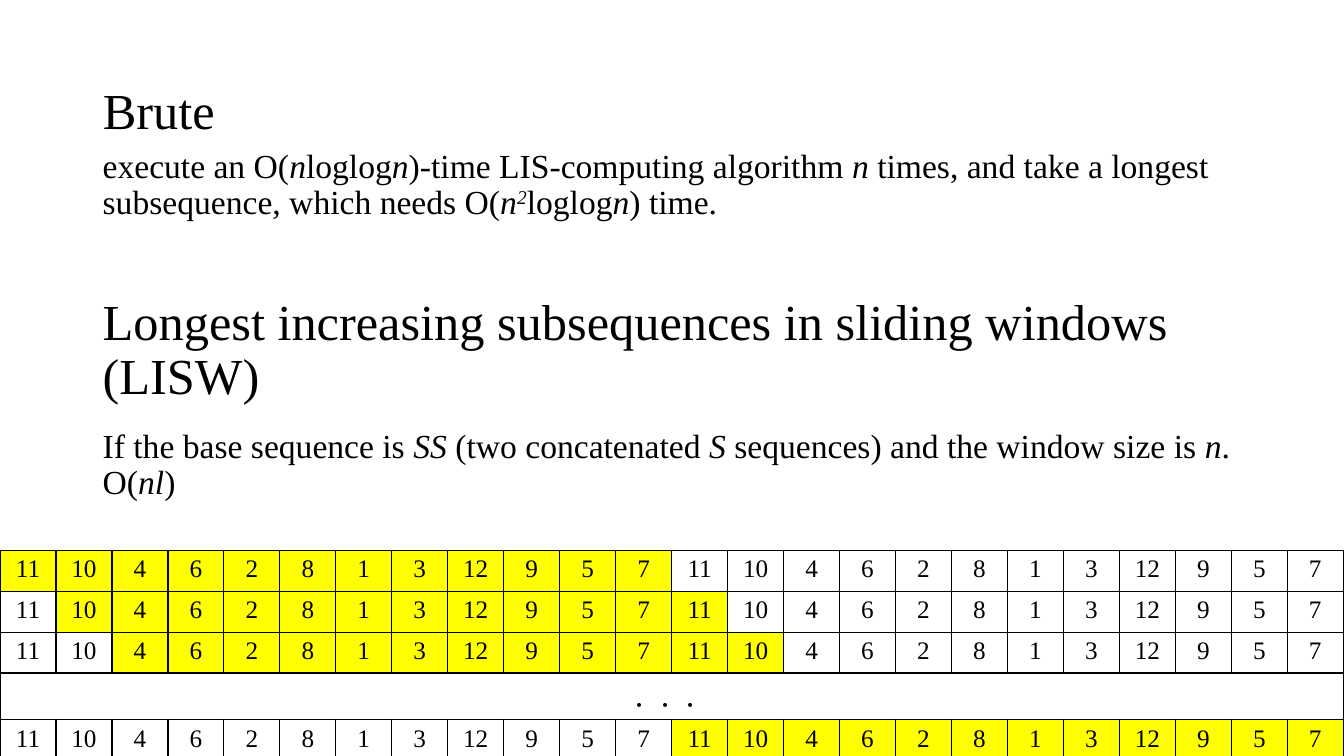
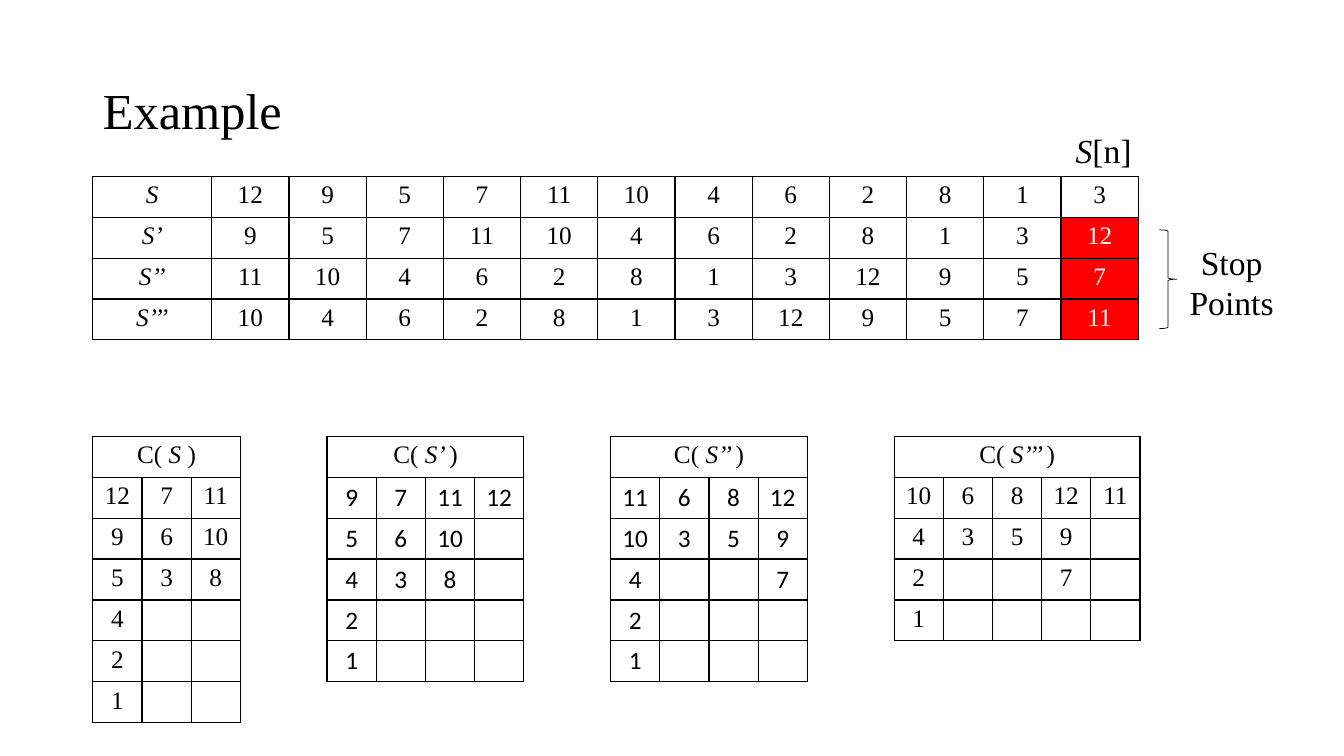
from dataclasses import dataclass
from itertools import zip_longest

from lxml import etree
from pptx import Presentation
from pptx.dml.color import RGBColor
from pptx.enum.shapes import MSO_SHAPE
from pptx.enum.text import MSO_ANCHOR, MSO_AUTO_SIZE, PP_ALIGN
from pptx.oxml.ns import qn
from pptx.util import Inches, Pt

LEFT, CENTER = PP_ALIGN.LEFT, PP_ALIGN.CENTER
TOP, MIDDLE = MSO_ANCHOR.TOP, MSO_ANCHOR.MIDDLE
RIGHT_BRACE = MSO_SHAPE.RIGHT_BRACE

BLACK, WHITE, YELLOW, RED = "000000", "FFFFFF", "FFFF00", "FF0000"
SERIF, SANS = "Times New Roman", "Calibri"
TITLE_PT, BODY_PT, CELL_PT = 36, 24, 18

SLIDE_W, SLIDE_H = 13.33, 7.5
MARGIN, CONTENT_W = 0.92, 11.5
ROW_H = 2.84 / 7
COVER_COL_W = 2.44 / 5
COVER_GAP = 0.86

SEQUENCE = [11, 10, 4, 6, 2, 8, 1, 3, 12, 9, 5, 7]
N = len(SEQUENCE)


@dataclass
class Box:
    left: float
    top: float
    width: float
    height: float

    def emu(self) -> list[int]:
        return [Inches(v) for v in (self.left, self.top, self.width, self.height)]


@dataclass
class Cell:
    text: str = ""
    fill: str = WHITE
    color: str = BLACK
    font: str = SERIF
    span: int = 1


@dataclass
class Cover:
    name: str
    columns: list[list[int]]
    font: str = SERIF


COVERS = [
    Cover("S ", [[12, 9, 5, 4, 2, 1], [7, 6, 3], [11, 10, 8]]),
    Cover("S’ ", [[9, 5, 4, 2, 1], [7, 6, 3], [11, 10, 8], [12]], SANS),
    Cover("S’’ ", [[11, 10, 4, 2, 1], [6, 3], [8, 5], [12, 9, 7]], SANS),
    Cover("S’’’ ", [[10, 4, 2, 1], [6, 3], [8, 5], [12, 9, 7], [11]]),
]


def rgb(color: str) -> RGBColor:
    return RGBColor.from_string(color)


def write(p, text: str, size: int, color: str = BLACK, font: str = SERIF,
          align=LEFT, spacing: float = 1.0) -> None:
    """Fill a paragraph; *...* marks italics and ^...^ a superscript."""
    p.alignment = align
    p.line_spacing = spacing
    p.space_before = Pt(0)
    p.font.size = Pt(size)
    p.font.name = font
    p.font.color.rgb = rgb(color)
    for i, part in enumerate(text.split("*")):
        for j, piece in enumerate(part.split("^")):
            if not piece:
                continue
            r = p.add_run()
            r.text = piece
            if i % 2:
                r.font.italic = True
            if j % 2:
                r._r.get_or_add_rPr().set("baseline", "30000")


def write_frame(tf, lines: list[str], size: int, anchor=TOP, align=LEFT,
                spacing: float = 0.9) -> None:
    tf.word_wrap = True
    tf.auto_size = MSO_AUTO_SIZE.NONE
    tf.vertical_anchor = anchor
    for i, line in enumerate(lines):
        p = tf.add_paragraph() if i else tf.paragraphs[0]
        write(p, line, size, align=align, spacing=spacing)


def add_titled_slide(prs, title: str):
    s = prs.slides.add_slide(prs.slide_layouts[5])
    sp = s.shapes.title
    sp.left, sp.top, sp.width, sp.height = Box(MARGIN, 0.4, CONTENT_W, 1.45).emu()
    write_frame(sp.text_frame, [title], TITLE_PT, MIDDLE)
    return s


def add_text(s, box: Box, lines: list[str], size: int = BODY_PT, **style) -> None:
    write_frame(s.shapes.add_textbox(*box.emu()).text_frame, lines, size, **style)


def add_borders(cell) -> None:
    tc_pr = cell._tc.get_or_add_tcPr()
    for side in ("lnL", "lnR", "lnT", "lnB"):
        ln = etree.SubElement(tc_pr, qn(f"a:{side}"), w=str(Pt(1)))
        fill = etree.SubElement(ln, qn("a:solidFill"))
        etree.SubElement(fill, qn("a:srgbClr"), val=BLACK)


def add_grid(s, left: float, top: float, widths: list[float],
             rows: list[list[Cell]]) -> None:
    box = Box(left, top, sum(widths), ROW_H * len(rows))
    table = s.shapes.add_table(len(rows), len(widths), *box.emu()).table
    table.first_row = table.horz_banding = False
    for column, width in zip(table.columns, widths):
        column.width = Inches(width)
    for y, row in enumerate(rows):
        table.rows[y].height = Inches(ROW_H)
        for x in range(len(widths)):
            cell = table.cell(y, x)
            add_borders(cell)
            item = row[x] if x < len(row) else Cell()
            cell.fill.solid()
            cell.fill.fore_color.rgb = rgb(item.fill)
            write(cell.text_frame.paragraphs[0], item.text, CELL_PT,
                  item.color, item.font, CENTER)
            if item.span > 1:
                cell.merge(table.cell(y, x + item.span - 1))


def window_row(start: int) -> list[Cell]:
    """The doubled sequence with the window of N values from start marked."""
    return [Cell(str(v), YELLOW if start <= i < start + N else WHITE)
            for i, v in enumerate(SEQUENCE * 2)]


def rotation_row(name: str, start: int, stops: bool) -> list[Cell]:
    values = [Cell(str(v)) for v in SEQUENCE[start:] + SEQUENCE[:start]]
    if stops:
        values[-1].fill, values[-1].color = RED, WHITE
    return [Cell(f"*{name}*")] + values


def cover_rows(cover: Cover) -> list[list[Cell]]:
    header = Cell(f"C( *{cover.name}*)", span=len(cover.columns))
    body = [[Cell(str(v), font=cover.font) for v in row]
            for row in zip_longest(*cover.columns, fillvalue="")]
    return [[header]] + body


def build_methods(prs) -> None:
    s = add_titled_slide(prs, "Brute")
    add_text(s, Box(MARGIN, 1.43, CONTENT_W, 1.08), [
        "execute an O(*n*loglog*n*)-time LIS-computing algorithm *n* times, and "
        "take a longest subsequence, which needs O(*n^2^*loglog*n*) time."])
    add_text(s, Box(MARGIN, 2.76, 12.49, 1.45),
             ["Longest increasing subsequences in sliding windows", "(LISW)"],
             TITLE_PT, anchor=MIDDLE)
    add_text(s, Box(MARGIN, 4.21, CONTENT_W, 1.08), [
        "If the base sequence is *SS* (two concatenated *S* sequences) and the "
        "window size is *n*. O(*nl*)"])
    rows = [window_row(start) for start in (0, 1, 2)]
    rows += [[Cell("．．．", span=2 * N)], window_row(N)]
    add_grid(s, 0, 5.46, [SLIDE_W / (2 * N)] * (2 * N), rows)


def build_example(prs) -> None:
    s = add_titled_slide(prs, "Example")
    rotations = [("S", 8), ("S’", 9), ("S’’", 0), ("S’’’", 1)]
    add_grid(s, MARGIN, 1.75, [1.18] + [9.19 / N] * N,
             [rotation_row(name, start, i > 0)
              for i, (name, start) in enumerate(rotations)])
    add_text(s, Box(10.57, 1.24, 1.37, 0.5), ["*S*[n]"], spacing=1.0)
    add_text(s, Box(11.67, 2.35, 1.09, 0.91), ["Stop Points"],
             align=CENTER, spacing=1.0)

    brace = s.shapes.add_shape(RIGHT_BRACE, *Box(11.5, 2.28, 0.17, 0.98).emu())
    brace.shadow.inherit = False
    brace.fill.background()
    brace.line.color.rgb = rgb(BLACK)
    brace.line.width = Pt(0.5)

    left = MARGIN
    for cover in COVERS:
        widths = [COVER_COL_W] * len(cover.columns)
        add_grid(s, left, 4.33, widths, cover_rows(cover))
        left += sum(widths) + COVER_GAP


def main() -> None:
    prs = Presentation()
    prs.slide_width, prs.slide_height = Inches(SLIDE_W), Inches(SLIDE_H)
    build_methods(prs)
    build_example(prs)
    prs.save("out.pptx")


if __name__ == "__main__":
    main()
